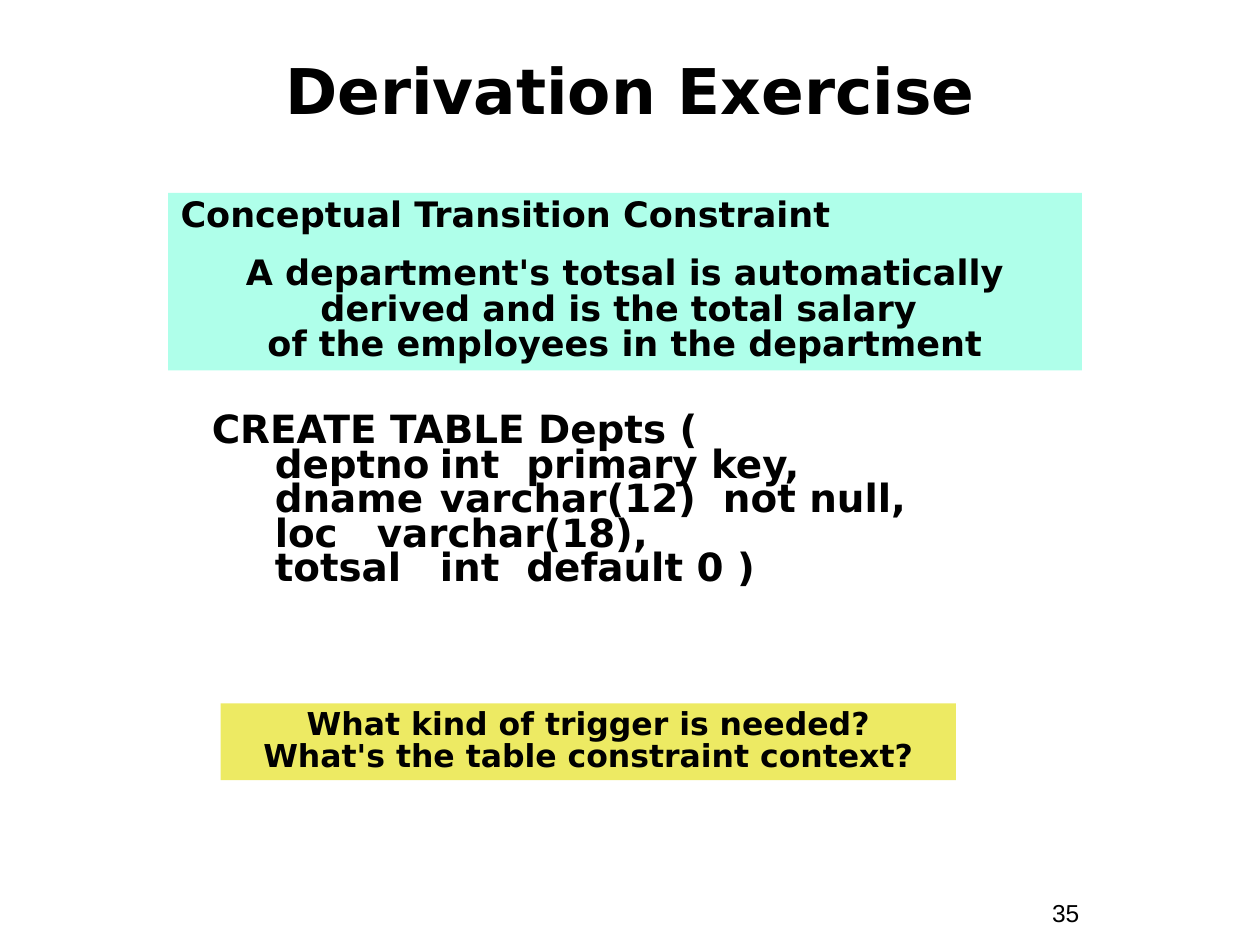
"""Build the derivation exercise slide."""
import pptx
import pptx.dml.color
import pptx.enum.shapes
import pptx.enum.text
import pptx.util

Cm = pptx.util.Cm
Pt = pptx.util.Pt
Align = pptx.enum.text.PP_ALIGN
Anchor = pptx.enum.text.MSO_ANCHOR

HUES = {"ink": "000000", "mint": "AFFFEA", "gold": "EDEA63"}

COLS = (
    "deptno\tint  primary key,",
    "dname\tvarchar(12)  not null,",
    "loc\tvarchar(18),",
    "totsal\tint  default 0 )",
)


def hue(name):
    """Return the named colour."""
    return pptx.dml.color.RGBColor.from_string(HUES[name])


def write(frame, text, size=20, face="DejaVu Sans", bold=True, align=Align.LEFT,
          line=None, gap=0, left=0, hang=0, first=False):
    """Write one paragraph into a text frame and format it."""
    para = frame.paragraphs[0] if first else frame.add_paragraph()
    para.text = text
    para.alignment = align
    para.space_before = Pt(gap)
    if line:
        para.line_spacing = line
    props = para._p.get_or_add_pPr()
    props.set("marL", str(Cm(left)))
    props.set("indent", str(Cm(-hang)))
    for run in para.runs:
        run.font.name = face
        run.font.size = Pt(size)
        run.font.bold = bold
        run.font.color.rgb = hue("ink")


def setup(shape, anchor=Anchor.TOP):
    """Return the wrapped text frame of a shape."""
    frame = shape.text_frame
    frame.word_wrap = True
    frame.vertical_anchor = anchor
    return frame


def label(slide, x, y, w, h, anchor=Anchor.TOP):
    """Add a text box and return its frame."""
    return setup(slide.shapes.add_textbox(Cm(x), Cm(y), Cm(w), Cm(h)), anchor)


def panel(slide, x, y, w, h, fill):
    """Add a filled rectangle and return its frame."""
    kind = pptx.enum.shapes.MSO_SHAPE.RECTANGLE
    shape = slide.shapes.add_shape(kind, Cm(x), Cm(y), Cm(w), Cm(h))
    shape.shadow.inherit = False
    shape.fill.solid()
    shape.fill.fore_color.rgb = hue(fill)
    shape.line.fill.background()
    return setup(shape)


def main():
    """Build and save the slide."""
    deck = pptx.Presentation()
    deck.slide_width, deck.slide_height = Cm(25.4), Cm(19.05)
    slide = deck.slides.add_slide(deck.slide_layouts[6])

    page = label(slide, 20.96, 17.98, 2.34, 0.86)
    write(page, "35", size=14, face="Arial", bold=False, first=True)

    title = label(slide, 0.85, 0.85, 23.7, 1.9, Anchor.MIDDLE)
    write(title, "Derivation Exercise", size=36, align=Align.CENTER, first=True)

    code = label(slide, 4.02, 8.26, 16.08, 4.65)
    write(code, "CREATE TABLE Depts (", size=22.2, line=0.74,
          left=0.97, hang=0.97, first=True)
    for col in COLS:
        write(code, col, size=22.2, line=0.74, left=2.06, hang=0.79)

    rule = panel(slide, 3.39, 3.89, 18.42, 3.58, "mint")
    write(rule, "Conceptual Transition Constraint", line=0.85, first=True)
    write(rule, "A department's totsal is automatically derived and is the total salary "
          "\nof the employees in the department",
          align=Align.CENTER, line=0.85, gap=12.5)

    quiz = panel(slide, 4.45, 14.18, 14.82, 1.55, "gold")
    write(quiz, "What kind of trigger is needed?\nWhat's the table constraint context?",
          size=18, align=Align.CENTER, line=0.85, first=True)

    deck.save("out.pptx")


if __name__ == "__main__":
    main()
